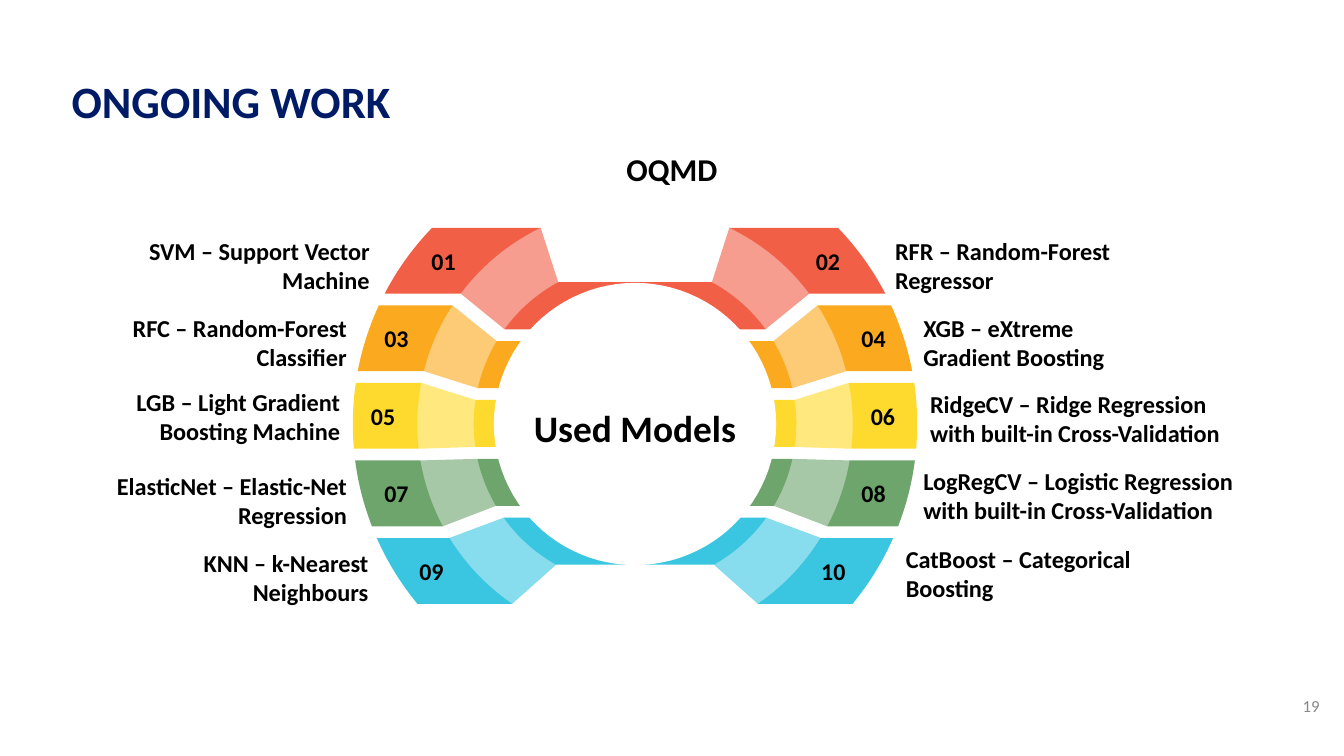
import math
import pptx
import pptx.util
import pptx.dml.color
import pptx.enum.shapes
import pptx.enum.text

ALIGN = pptx.enum.text.PP_ALIGN
ANCHOR = pptx.enum.text.MSO_ANCHOR
COLORS = {"title": "001B66", "text": "000000", "number": "888888", "hub": "FFFFFF"}

deck = pptx.Presentation()
deck.slide_width = pptx.util.Inches(10)
deck.slide_height = deck.slide_width * 9 // 16
UNIT = deck.slide_width / 100  # the grid has 100 columns; rows are as tall as columns are wide
page = deck.slides.add_slide(deck.slide_layouts[5])


def put_text(box, place, text, size, color="text", bold=True,
             align=ALIGN.CENTER, anchor=ANCHOR.MIDDLE, insets=(0, 0.4)):
    """Place a box on the grid (left, top, width, height) and fill in its text."""
    box.left, box.top, box.width, box.height = (round(n * UNIT) for n in place)
    frame = box.text_frame
    frame.text = text
    frame.word_wrap = True
    frame.auto_size = pptx.enum.text.MSO_AUTO_SIZE.NONE
    frame.vertical_anchor = anchor
    frame.margin_left = frame.margin_right = round(insets[0] * UNIT)
    frame.margin_top = frame.margin_bottom = round(insets[1] * UNIT)
    para = frame.paragraphs[0]
    para.alignment = align
    font = para.runs[0].font
    font.name, font.size, font.bold = "Calibri", pptx.util.Pt(size), bold
    font.color.rgb = pptx.dml.color.RGBColor.from_string(COLORS[color])


put_text(page.shapes.title, (0.8, 4.5, 32.8, 6.1), "ONGOING WORK", 24, "title",
         anchor=ANCHOR.TOP, insets=(1, 1))
put_text(page.shapes.add_textbox(0, 0, 0, 0), (92.9, 50.4, 6, 4.3), "19", 9, "number",
         bold=False, align=ALIGN.RIGHT, insets=(0.7, 0.4))
put_text(page.shapes.add_textbox(0, 0, 0, 0), (24.15, 10.15, 51.7, 4.9), "OQMD", 17,
         anchor=ANCHOR.TOP, insets=(1, 1))

# Three rings around one centre, cut into five horizontal rows
CENTER_X, CENTER_Y = 47.25, 31.55
HUB, BAND, INNER, HIDDEN, OUTER = 10.5, 12, 16.2, 18, 21
WEDGE_TOP, WEDGE_STEP, WEDGE_HEIGHT = 16.95, 5.77, 4.9
BAND_TOP, BAND_STEP, BAND_HEIGHT = 21, 4.38, 3.5
ARC_STEPS = 16
SIDES = (-1, 1)


def ring_arc(radius, side, top, bottom, steps=ARC_STEPS):
    """Points down one side of a ring, from height top to height bottom."""
    heights = [top + (bottom - top) * i / steps for i in range(steps + 1)]
    return [(CENTER_X + side * math.sqrt(radius ** 2 - (y - CENTER_Y) ** 2), y)
            for y in heights]


# strong colour, pale colour
row_colors = [("F15F47", "F69D8F"), ("FBA91E", "FDCB75"), ("FEDA2F", "FFE97F"),
              ("6EA56C", "A7C8A6"), ("3AC6E1", "87DCED")]
wedges = [(WEDGE_TOP + row * WEDGE_STEP, WEDGE_TOP + row * WEDGE_STEP + WEDGE_HEIGHT)
          for row in range(5)]
bands = [(BAND_TOP + row * BAND_STEP, BAND_TOP + row * BAND_STEP + BAND_HEIGHT)
         for row in range(5)]

# Outlines from back to front: pale links, bands, hub, wedges
links, rings, blades = [], [], []
for (strong, pale), wedge, band in zip(row_colors, wedges, bands):
    rings.append((ring_arc(BAND, -1, *band) + ring_arc(BAND, 1, *band)[::-1], strong))
    for side in SIDES:
        outer_top, outer_bottom = ring_arc(INNER, side, *wedge, steps=1)
        tucked = ring_arc(HIDDEN, side, *wedge, steps=2)[1]
        links.append((ring_arc(BAND, side, *band, steps=1)
                      + [outer_bottom, tucked, outer_top], pale))
        blades.append((ring_arc(INNER, side, *wedge)
                       + ring_arc(OUTER, side, *wedge)[::-1], strong))

hub_span = (CENTER_Y - HUB, CENTER_Y + HUB)
hub = [(CENTER_X + HUB * math.cos(math.tau * i / 96), CENTER_Y + HUB * math.sin(math.tau * i / 96))
       for i in range(96)]
for points, fill in links + rings + [(hub, COLORS["hub"])] + blades:
    corners = [(round(x * UNIT), round(y * UNIT)) for x, y in points]
    builder = page.shapes.build_freeform(*corners[0], scale=1.0)
    builder.add_line_segments(corners[1:], close=True)
    shape = builder.convert_to_shape()
    shape.shadow.inherit = False
    shape.fill.solid()
    shape.fill.fore_color.rgb = pptx.dml.color.RGBColor.from_string(fill)
    shape.line.fill.background()

# number column, label column, label row, label width, label; left then right in each row
models = [
    (31.4, 9.5, 17.2, 18, "SVM – Support Vector Machine"),
    (60, 66.6, 17.2, 18, "RFR – Random-Forest Regressor"),
    (27.9, 7.8, 22.9, 18, "RFC – Random-Forest Classifier"),
    (63.4, 68.7, 22.9, 18, "XGB – eXtreme Gradient Boosting"),
    (26.9, 7.3, 28.4, 18, "LGB – Light Gradient Boosting Machine"),
    (64.1, 69.2, 28.6, 22.1, "RidgeCV – Ridge Regression with built-in Cross-Validation"),
    (27.9, 7.8, 34.7, 18, "ElasticNet – Elastic-Net Regression"),
    (63.4, 68.7, 34.3, 24, "LogRegCV – Logistic Regression with built-in Cross-Validation"),
    (30.5, 9.4, 40.4, 18, "KNN – k-Nearest Neighbours"),
    (60.4, 67.4, 40.1, 18, "CatBoost – Categorical Boosting"),
]
for index, (number_left, label_left, label_top, label_width, label) in enumerate(models):
    number_top = wedges[index // 2][0] + 1
    put_text(page.shapes.add_textbox(0, 0, 0, 0), (number_left, number_top, 3.2, 2.9),
             f"{index + 1:02d}", 12.8)
    put_text(page.shapes.add_textbox(0, 0, 0, 0), (label_left, label_top, label_width, 5.1),
             label, 13, align=ALIGN.LEFT if index % 2 else ALIGN.RIGHT)

put_text(page.shapes.add_textbox(0, 0, 0, 0), (38.3, 29.75, 17.9, 4.1), "Used Models", 20,
         anchor=ANCHOR.BOTTOM)

deck.save("out.pptx")
